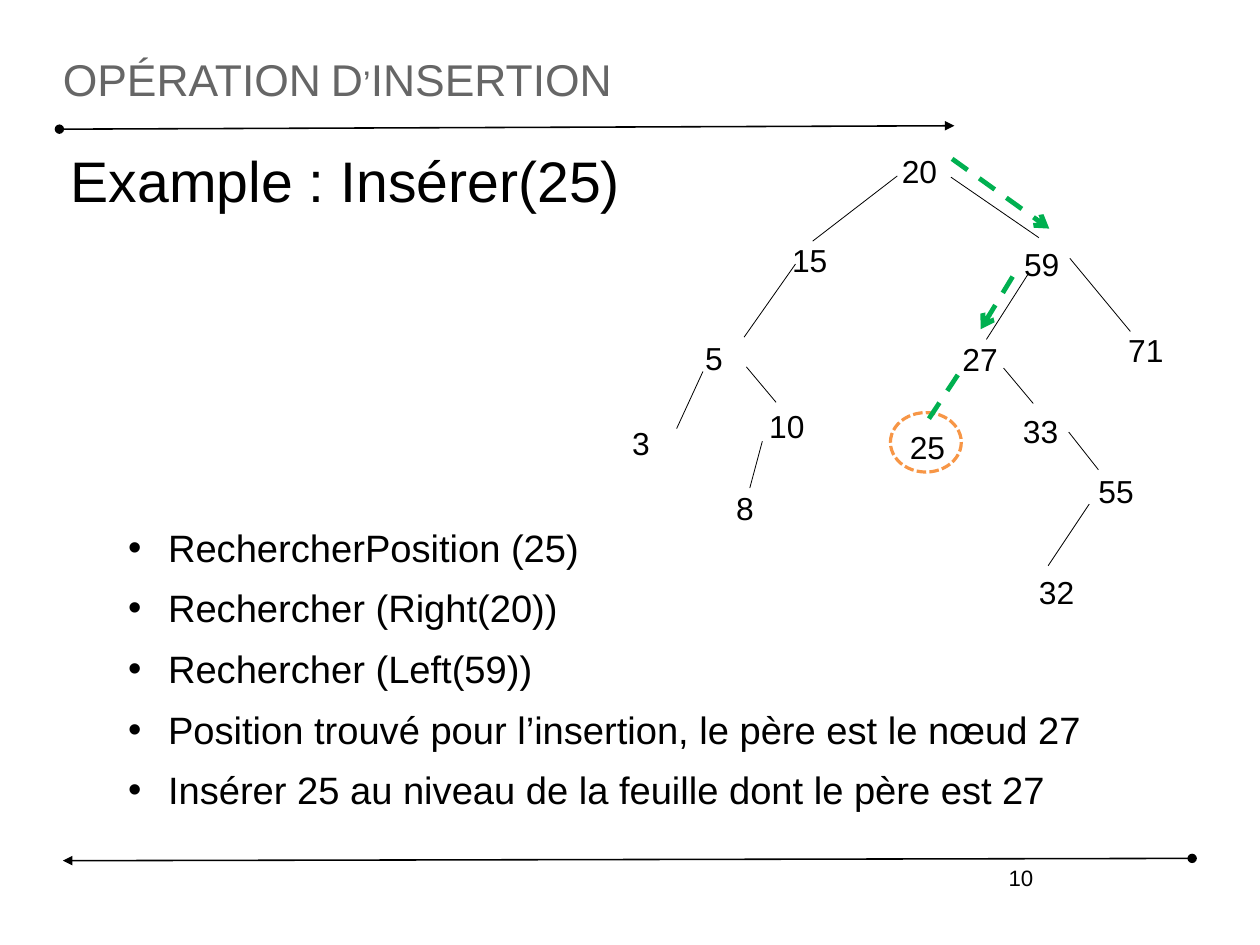
from dataclasses import dataclass
from typing import Optional

from lxml import etree
from pptx import Presentation, util as u
from pptx.dml.color import RGBColor
from pptx.enum import dml, shapes, text
from pptx.oxml import ns

BLACK = RGBColor(0x00, 0x00, 0x00)
WHITE = RGBColor(0xFF, 0xFF, 0xFF)
GREY = RGBColor(0x66, 0x66, 0x66)
GREEN = RGBColor(0x00, 0xB0, 0x50)
ORANGE = RGBColor(0xF7, 0x96, 0x46)
FONT = "Arial"
NODE_SIZE = 0.36


@dataclass
class Node:
    value: str
    left: float
    top: float


@dataclass
class Line:
    x1: float
    y1: float
    x2: float
    y2: float
    color: RGBColor = BLACK
    width: float = 0.5
    dash: Optional[dml.MSO_LINE] = None
    head: Optional[str] = None
    tail: Optional[str] = None
    start_node: Optional[str] = None  # joined at the middle of its top side


RULES = [
    Line(0.52, 1.13, 8.35, 1.1, width=1, head="oval", tail="triangle"),
    Line(10.43, 7.51, 0.55, 7.53, width=1, head="oval", tail="triangle"),
]
NODES = [
    Node("20", 7.89, 1.33), Node("15", 6.93, 2.11), Node("59", 8.96, 2.14),
    Node("5", 6.17, 2.96), Node("27", 8.42, 2.97), Node("71", 9.87, 2.89),
    Node("3", 5.53, 3.71), Node("10", 6.73, 3.56), Node("25", 7.96, 3.74),
    Node("33", 8.95, 3.6), Node("8", 6.44, 4.28), Node("55", 9.61, 4.13),
    Node("32", 9.09, 5.01),
]
EDGES = [
    Line(7.1, 2.11, 7.85, 1.54, start_node="15"),
    Line(9.09, 2.08, 8.32, 1.55),
    Line(6.51, 2.95, 6.96, 2.31),
    Line(8.63, 2.97, 9, 2.39),
    Line(9.89, 2.9, 9.36, 2.26),
    Line(5.92, 3.75, 6.15, 3.25),
    Line(6.79, 3.52, 6.53, 3.21),
    Line(6.56, 4.27, 6.67, 3.86),
    Line(9.04, 3.53, 8.78, 3.22),
    Line(9.61, 4.11, 9.35, 3.78),
    Line(9.17, 4.95, 9.53, 4.41),
]
SEARCH_STEPS = [
    Line(8.33, 1.39, 9.18, 2, GREEN, 3, dml.MSO_LINE.DASH, tail="arrow"),
    Line(8.86, 2.42, 8.58, 2.88, GREEN, 3, dml.MSO_LINE.DASH, tail="arrow"),
    Line(8.38, 3.28, 8.07, 3.75, GREEN, 3, dml.MSO_LINE.DASH),
]
HEADING = "Example : Insérer(25)"
STEPS = [
    "RechercherPosition (25)",
    "Rechercher (Right(20))",
    "Rechercher (Left(59))",
    "Position trouvé pour l’insertion, le père est le nœud 27",
    "Insérer 25 au niveau de la feuille dont le père est 27",
]


def apply(target, values: dict) -> None:
    for name, value in values.items():
        setattr(target, name, value)


def place(shape, left: float, top: float, width: float, height: float) -> None:
    apply(shape, {"left": u.Inches(left), "top": u.Inches(top),
                  "width": u.Inches(width), "height": u.Inches(height)})


def set_frame(shape, margin_x: float = 0, margin_y: float = 0,
              anchor=text.MSO_ANCHOR.TOP):
    frame = shape.text_frame
    apply(frame, {
        "margin_left": u.Inches(margin_x), "margin_right": u.Inches(margin_x),
        "margin_top": u.Inches(margin_y), "margin_bottom": u.Inches(margin_y),
        "word_wrap": True, "auto_size": text.MSO_AUTO_SIZE.NONE,
        "vertical_anchor": anchor,
    })
    return frame


def write(paragraph, content: str, size: float, color: RGBColor = BLACK,
          align=text.PP_ALIGN.LEFT):
    run = paragraph.add_run()
    run.text = content
    apply(run.font, {"name": FONT, "size": u.Pt(size)})
    run.font.color.rgb = color
    paragraph.alignment = align
    return run


def set_bullet(paragraph, indent: float, hanging: float, char: str = "") -> None:
    properties = paragraph._p.get_or_add_pPr()
    properties.set("marL", str(u.Inches(indent)))
    properties.set("indent", str(u.Inches(hanging)))
    bullet = etree.SubElement(properties, ns.qn("a:buChar" if char else "a:buNone"))
    if char:
        bullet.set("char", char)


def draw_line(slide, line: Line, boxes: dict) -> None:
    connector = slide.shapes.add_connector(
        shapes.MSO_CONNECTOR.STRAIGHT,
        *(u.Inches(value) for value in (line.x1, line.y1, line.x2, line.y2)))
    if line.start_node:
        connector.begin_connect(boxes[line.start_node], 0)
    connector.line.color.rgb = line.color
    connector.line.width = u.Pt(line.width)
    if line.dash:
        connector.line.dash_style = line.dash
    outline = connector.line._get_or_add_ln()
    for tag, kind in (("a:headEnd", line.head), ("a:tailEnd", line.tail)):
        if kind:
            etree.SubElement(outline, ns.qn(tag)).set("type", kind)
    etree.SubElement(connector._element.spPr, ns.qn("a:effectLst"))


def draw_text(slide, content: str, left: float, top: float, width: float,
              height: float, size: float, margins=(0, 0),
              align=text.PP_ALIGN.LEFT):
    box = slide.shapes.add_textbox(0, 0, 0, 0)
    place(box, left, top, width, height)
    write(set_frame(box, *margins).paragraphs[0], content, size, align=align)
    return box


def main() -> None:
    presentation = Presentation()
    presentation.slide_width = u.Cm(28)
    presentation.slide_height = u.Cm(21)
    slide = presentation.slides.add_slide(presentation.slide_layouts[1])

    # Title
    title = slide.shapes.title
    place(title, 0.55, 0.33, 9.92, 0.72)
    frame = set_frame(title, anchor=text.MSO_ANCHOR.MIDDLE)
    run = write(frame.paragraphs[0], "OPÉRATION D’INSERTION", 28, GREY)
    run.font._element.set("cap", "small")

    # Heading and steps, with room for the tree between them
    body = slide.placeholders[1]
    place(body, 0.5, 1.27, 9.88, 6.52)
    frame = set_frame(body)
    heading = frame.paragraphs[0]
    set_bullet(heading, 0.12, 0)
    heading.space_before = u.Pt(0)
    write(heading, HEADING, 36)
    for index, step in enumerate(STEPS):
        paragraph = frame.add_paragraph()
        paragraph.level = 1
        set_bullet(paragraph, 0.97, -0.35, "•")
        paragraph.space_before = u.Pt(9.4 if index else 195.5)
        write(paragraph, step, 24)

    # Ring around the inserted node
    ring = slide.shapes.add_shape(shapes.MSO_SHAPE.OVAL, 0, 0, 0, 0)
    place(ring, 7.79, 3.61, 0.62, 0.52)
    ring.shadow.inherit = False
    ring.fill.solid()
    ring.fill.fore_color.rgb = WHITE
    ring.line.color.rgb = ORANGE
    apply(ring.line, {"width": u.Pt(2), "dash_style": dml.MSO_LINE.SQUARE_DOT})

    # Tree, search path and rules
    boxes = {node.value: draw_text(slide, node.value, node.left, node.top,
                                   NODE_SIZE, NODE_SIZE, 20) for node in NODES}
    for line in RULES + EDGES + SEARCH_STEPS:
        draw_line(slide, line, boxes)

    # Page number
    draw_text(slide, "10", 6.57, 7.51, 2.57, 0.57, 14, (0.1, 0.05),
              text.PP_ALIGN.RIGHT)

    presentation.save("out.pptx")


if __name__ == "__main__":
    main()
